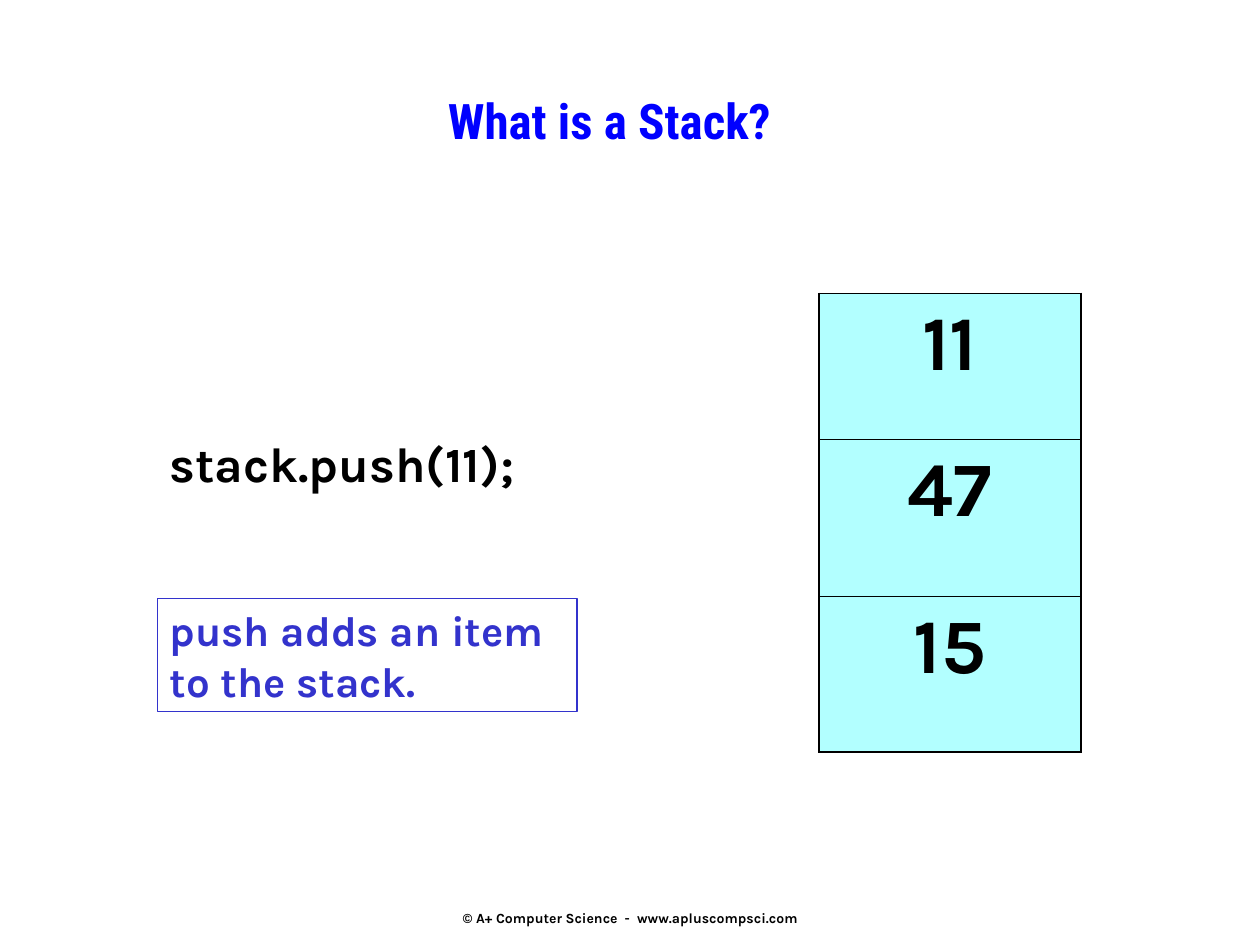
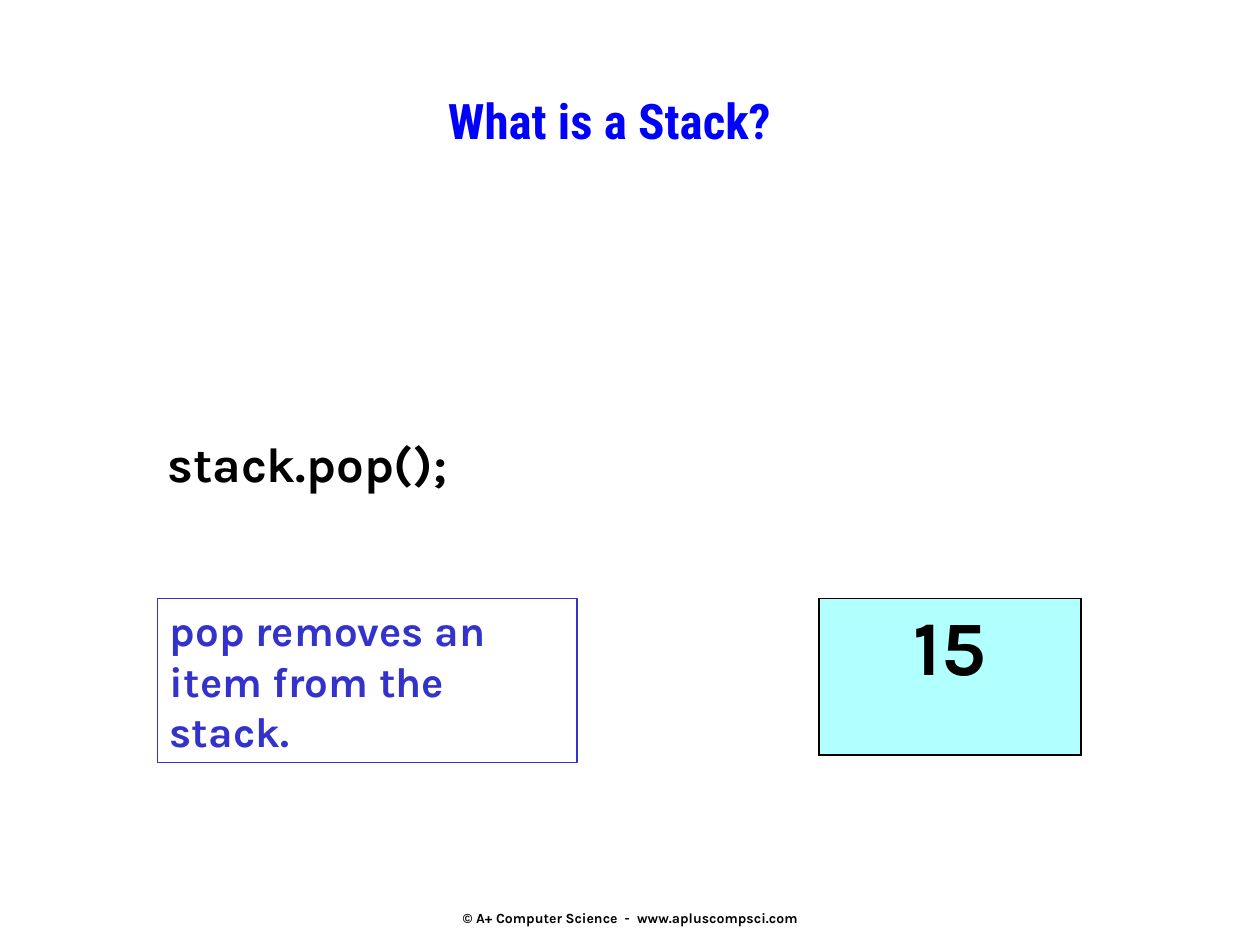
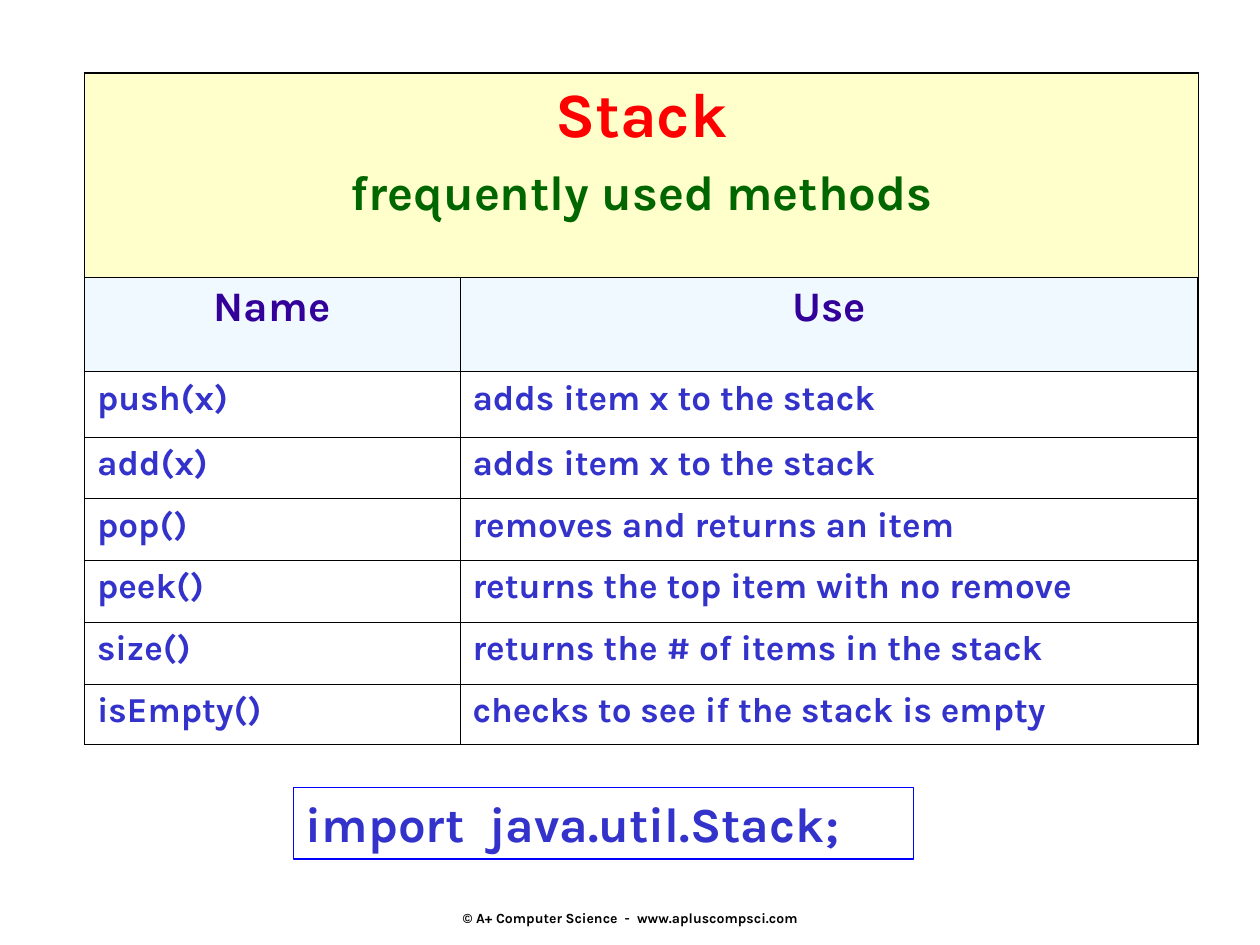
from dataclasses import dataclass

from lxml.etree import SubElement
from pptx import Presentation
from pptx.dml.color import RGBColor
from pptx.enum.shapes import MSO_SHAPE
from pptx.enum.text import MSO_ANCHOR as ANCHOR, MSO_AUTO_SIZE as AUTO, PP_ALIGN as ALIGN
from pptx.oxml.ns import qn
from pptx.util import Inches, Pt


@dataclass(frozen=True)
class Theme:
    body_font: str = "Karla"
    title_font: str = "Roboto Condensed"
    black: str = "000000"
    blue: str = "0000FF"
    indigo: str = "3333CC"
    purple: str = "330099"
    red: str = "FF0000"
    green: str = "006600"
    aqua: str = "66FFFF"
    cream: str = "FFFFCC"
    pale_blue: str = "E1F4FF"
    footer_size: int = 8
    row_size: int = 20
    note_size: int = 24
    code_size: int = 28
    heading_size: int = 36
    stack_size: int = 44
    outer_border: float = 1.08
    inner_border: float = 0.45


FOOTER = "© A+ Computer Science  -  www.apluscompsci.com"
METHODS = [
    ("push(x)", "adds item x to the stack"),
    ("add(x)", "adds item x to the stack"),
    ("pop()", "removes and returns an item"),
    ("peek()", "returns the top item with no remove"),
    ("size()", "returns the # of items in the stack"),
    ("isEmpty()", "checks to see if the stack is empty"),
]


def set_values(target, values):
    for name, value in values.items():
        setattr(target, name, value)


def inches(*lengths):
    return [Inches(n) for n in lengths]


class Deck:
    def __init__(self, theme):
        self.theme = theme
        self.prs = Presentation()
        set_values(self.prs, {"slide_width": Inches(10), "slide_height": Inches(7.5)})
        self.slide = None

    def new_slide(self, title=None):
        """Start a slide with its footer, and with a title if one is given."""
        t = self.theme
        layout = self.prs.slide_layouts[5 if title else 6]
        self.slide = self.prs.slides.add_slide(layout)
        self.textbox(FOOTER, (3.42, 6.83, 3.17, 0.52), t.footer_size, ALIGN.CENTER, bottom=0)
        if title:
            sp = self.slide.shapes.title
            box = dict(zip(("left", "top", "width", "height"), inches(1.25, 0.67, 7.17, 1.08)))
            set_values(sp, box)
            self.frame(sp.text_frame, ANCHOR.TOP)
            self.fill_text(sp.text_frame.paragraphs[0], title, t.code_size, t.blue,
                           ALIGN.CENTER, font=t.title_font)

    def frame(self, tf, anchor, bottom=0.05):
        set_values(tf, {"word_wrap": True, "auto_size": AUTO.NONE, "vertical_anchor": anchor,
                        "margin_left": Inches(0.1), "margin_right": Inches(0.1),
                        "margin_top": Inches(0.05), "margin_bottom": Inches(bottom)})

    def fill_text(self, p, text, size, color, align=ALIGN.LEFT, font=None):
        set_values(p, {"text": text, "alignment": align})
        for r in p.runs:
            set_values(r.font, {"name": font or self.theme.body_font,
                                "size": Pt(size), "bold": True})
            r.font.color.rgb = RGBColor.from_string(color)

    def textbox(self, text, box, size, align=ALIGN.LEFT, bottom=0.05):
        """Add black text that rests on the bottom of its box."""
        tf = self.slide.shapes.add_textbox(*inches(*box)).text_frame
        self.frame(tf, ANCHOR.BOTTOM, bottom)
        self.fill_text(tf.paragraphs[0], text, size, self.theme.black, align)

    def outlined_box(self, text, box, size, line, line_width):
        sp = self.slide.shapes.add_shape(MSO_SHAPE.RECTANGLE, *inches(*box))
        sp.shadow.inherit = False
        sp.fill.background()
        sp.line.color.rgb = RGBColor.from_string(line)
        sp.line.width = Pt(line_width)
        self.frame(sp.text_frame, ANCHOR.TOP)
        self.fill_text(sp.text_frame.paragraphs[0], text, size, self.theme.indigo)

    def table(self, left, top, widths, heights):
        box = inches(left, top, sum(widths), sum(heights))
        table = self.slide.shapes.add_table(len(heights), len(widths), *box).table
        set_values(table, {"first_row": False, "horz_banding": False})
        for column, width in zip(table.columns, widths):
            column.width = Inches(width)
        for row, height in zip(table.rows, heights):
            row.height = Inches(height)
        last_row, last_col = len(heights) - 1, len(widths) - 1
        for i, row in enumerate(table.rows):
            for j, cell in enumerate(row.cells):
                self.borders(cell, {"lnL": j == 0, "lnR": j == last_col,
                                    "lnT": i == 0, "lnB": i == last_row})
                cell.fill.background()
        return table

    def borders(self, cell, sides):
        """Draw each side of a cell, heavier where it lies on the table's edge."""
        t = self.theme
        tc_pr = cell._tc.get_or_add_tcPr()
        for side, is_outer in sides.items():
            width = Pt(t.outer_border if is_outer else t.inner_border)
            ln = SubElement(tc_pr, qn(f"a:{side}"), w=str(int(width)))
            SubElement(SubElement(ln, qn("a:solidFill")), qn("a:srgbClr"), val=t.black)

    def cell_fill(self, cell, color, opacity=100):
        cell.fill.solid()
        cell.fill.fore_color.rgb = RGBColor.from_string(color)
        if opacity < 100:
            clr = cell._tc.tcPr.find(qn("a:solidFill")).find(qn("a:srgbClr"))
            SubElement(clr, qn("a:alpha"), val=str(opacity * 1000))

    def stack(self, top, items, heights):
        t = self.theme
        table = self.table(6.5, top, [2.08], heights)
        for row, item in zip(table.rows, items):
            cell = row.cells[0]
            self.cell_fill(cell, t.aqua, 50)
            self.fill_text(cell.text_frame.paragraphs[0], item, t.stack_size, t.black,
                           ALIGN.CENTER)

    def operation(self, code, code_box, note, note_height, top, items, heights):
        """Build a slide that shows one call and the stack it leaves."""
        t = self.theme
        self.new_slide("What is a Stack?")
        self.textbox(code, code_box, t.code_size)
        self.outlined_box(note, (1.25, 4.75, 3.33, note_height), t.note_size, t.indigo, 0.75)
        self.stack(top, items, heights)

    def method_table(self):
        t = self.theme
        heights = [1.62, 0.75, 0.52] + [0.49] * 4 + [0.48]
        table = self.table(0.67, 0.58, [2.98, 5.86], heights)
        heading = table.cell(0, 0)
        heading.merge(table.cell(0, 1))
        self.cell_fill(heading, t.cream)
        tf = heading.text_frame
        self.fill_text(tf.paragraphs[0], "Stack", t.heading_size, t.red, ALIGN.CENTER)
        p = tf.add_paragraph()
        p.space_before = Pt(7)
        self.fill_text(p, "frequently used methods", t.code_size, t.green, ALIGN.CENTER)
        for j, label in enumerate(("Name", "Use")):
            cell = table.cell(1, j)
            self.cell_fill(cell, t.pale_blue, 50)
            self.fill_text(cell.text_frame.paragraphs[0], label, t.note_size, t.purple,
                           ALIGN.CENTER)
        for i, method in enumerate(METHODS, start=2):
            for j, text in enumerate(method):
                p = table.cell(i, j).text_frame.paragraphs[0]
                self.fill_text(p, text, t.row_size, t.indigo)


def main():
    theme = Theme()
    deck = Deck(theme)
    deck.operation("stack.push(11);", (1.25, 2.92, 3.11, 1.04),
                   "push adds an item\nto the stack.", 0.9,
                   2.33, ["11", "47", "15"], [1.16, 1.24, 1.24])
    deck.operation("stack.pop();", (1.23, 2.92, 2.45, 1.04),
                   "pop removes an item from the stack.", 1.3,
                   4.75, ["15"], [1.24])
    deck.new_slide()
    deck.method_table()
    deck.outlined_box("import  java.util.Stack;", (2.33, 6.25, 4.92, 0.57),
                      theme.code_size, theme.blue, 1)
    deck.prs.save("out.pptx")


if __name__ == "__main__":
    main()
